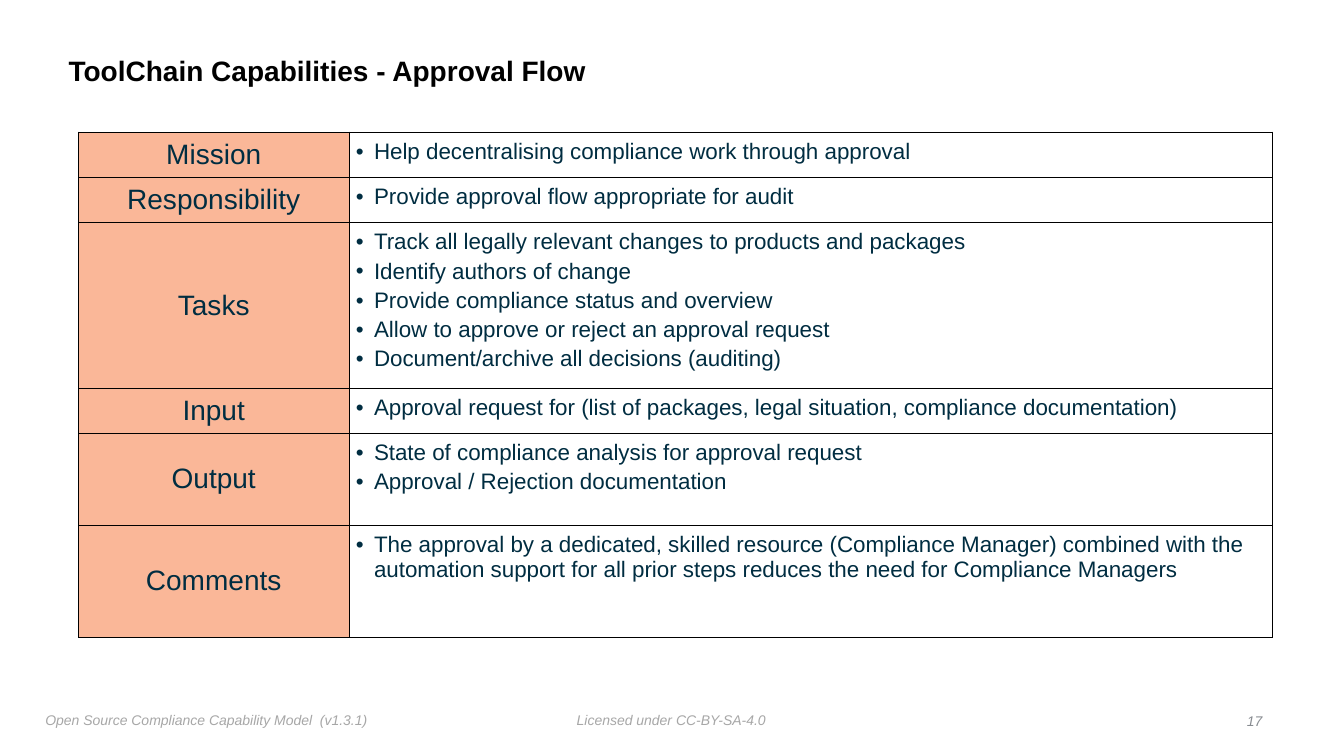
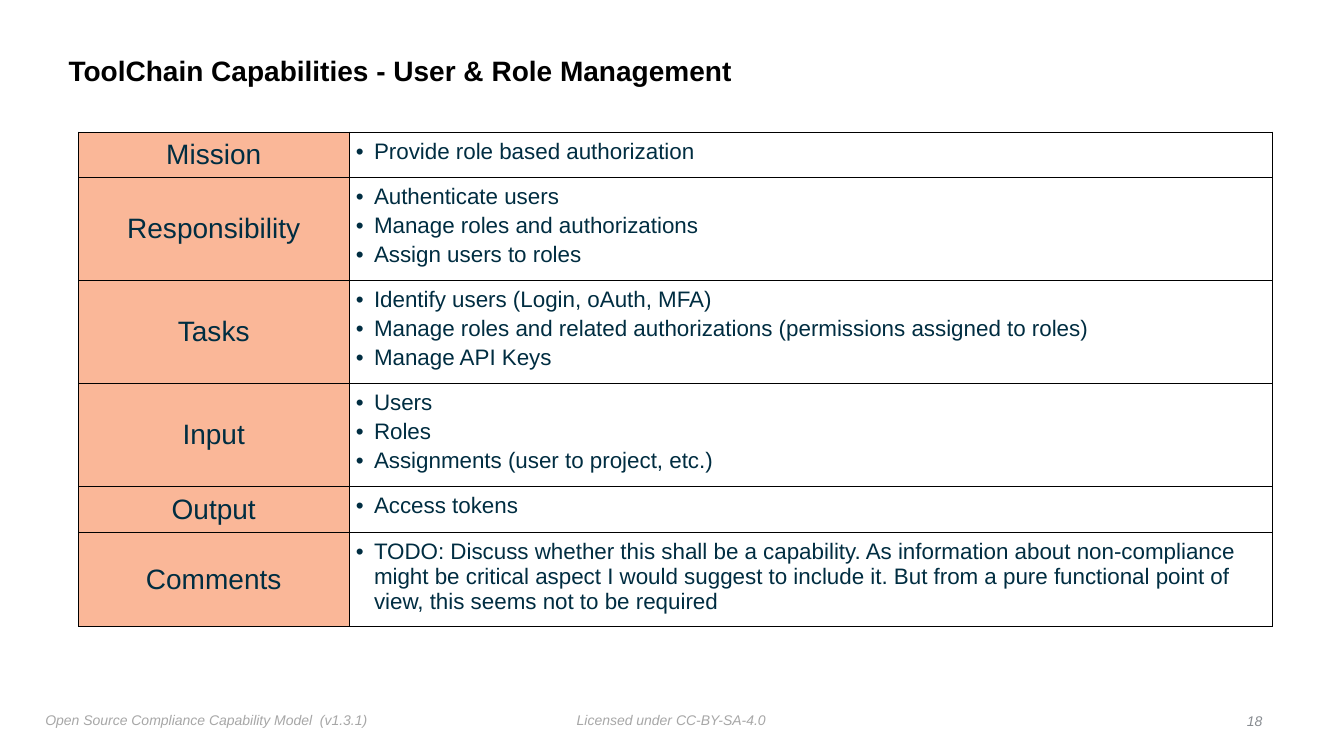
"""Build two capability table slides of the compliance model."""
from lxml import etree
from pptx import Presentation
from pptx.dml.color import RGBColor
from pptx.enum.text import MSO_ANCHOR, PP_ALIGN
from pptx.oxml.ns import qn
from pptx.util import Inches, Pt

LEFT, CENTER, RIGHT = PP_ALIGN.LEFT, PP_ALIGN.CENTER, PP_ALIGN.RIGHT
TOP, MIDDLE = MSO_ANCHOR.TOP, MSO_ANCHOR.MIDDLE

FONT = "Arial"
BLACK, INK, PEACH = "000000", "002D41", "FAB798"
FOOTER_GREY, NUMBER_GREY = "A7A7A7", "888C91"
FOOTERS = [
    (5.67, 2.2, "Licensed under CC-BY-SA-4.0"),
    (0.4, 3.6, "Open Source Compliance Capability Model  (v1.3.1)"),
]
LABELS = ["Mission", "Responsibility", "Tasks", "Input", "Output", "Comments"]
COLUMN_WIDTHS = [2.68, 9.16]

CAPABILITIES = [
    {
        "title": "ToolChain Capabilities - Approval Flow",
        "number": 17,
        "heights": [0.45, 0.45, 1.54, 0.45, 0.91, 1.11],
        "details": [
            ["Help decentralising compliance work through approval"],
            ["Provide approval flow appropriate for audit"],
            [
                "Track all legally relevant changes to products and packages",
                "Identify authors of change",
                "Provide compliance status and overview",
                "Allow to approve or reject an approval request",
                "Document/archive all decisions (auditing)",
            ],
            ["Approval request for (list of packages, legal situation, "
             "compliance documentation)"],
            [
                "State of compliance analysis for approval request",
                "Approval / Rejection documentation",
            ],
            ["The approval by a dedicated, skilled resource (Compliance Manager) "
             "combined with the automation support for all prior steps reduces "
             "the need for Compliance Managers"],
        ],
    },
    {
        "title": "ToolChain Capabilities - User & Role Management",
        "number": 18,
        "heights": [0.45, 0.96, 0.96, 0.96, 0.45, 0.88],
        "details": [
            ["Provide role based authorization"],
            [
                "Authenticate users",
                "Manage roles and authorizations",
                "Assign users to roles",
            ],
            [
                "Identify users (Login, oAuth, MFA)",
                "Manage roles and related authorizations "
                "(permissions assigned to roles)",
                "Manage API Keys",
            ],
            ["Users", "Roles", "Assignments (user to project, etc.)"],
            ["Access tokens"],
            ["TODO: Discuss whether this shall be a capability. As information "
             "about non-compliance might be critical aspect I would suggest to "
             "include it. But from a pure functional point of view, this seems "
             "not to be required"],
        ],
    },
]


def color(value):
    return RGBColor.from_string(value)


class Deck:
    def __init__(self):
        self.presentation = Presentation()
        self.presentation.slide_width = Inches(13.33)
        self.presentation.slide_height = Inches(7.5)
        self.slide = None

    def add_slide(self, title, number):
        layout = self.presentation.slide_layouts[6]
        self.slide = self.presentation.slides.add_slide(layout)
        for left, width, text in FOOTERS:
            self.text(left, 7.01, width, 0.25, text, 10, FOOTER_GREY, italic=True)
        heading = self.text(0.63, 0.39, 10.75, 0.65, title, 20, BLACK,
                            bold=True, anchor=MIDDLE)
        heading.line_spacing = 0.9
        self.text(12.07, 7.03, 0.5, 0.25, str(number), 10, NUMBER_GREY,
                  italic=True, anchor=MIDDLE, align=RIGHT)

    def style(self, paragraph, size, fill, bold=False, italic=False, align=LEFT):
        paragraph.alignment = align
        font = paragraph.font
        font.name, font.size = FONT, Pt(size)
        font.bold, font.italic = bold, italic
        font.color.rgb = color(fill)

    def text(self, left, top, width, height, text, size, fill,
             anchor=TOP, **options):
        shape = self.slide.shapes.add_textbox(
            Inches(left), Inches(top), Inches(width), Inches(height))
        frame = shape.text_frame
        frame.word_wrap = True
        frame.vertical_anchor = anchor
        frame.margin_left = frame.margin_right = Inches(0.05)
        frame.margin_top = frame.margin_bottom = Inches(0.05)
        paragraph = frame.paragraphs[0]
        paragraph.text = text
        self.style(paragraph, size, fill, **options)
        return paragraph

    def table(self, heights, details):
        shape = self.slide.shapes.add_table(
            len(heights), len(COLUMN_WIDTHS), Inches(0.78), Inches(1.31),
            Inches(sum(COLUMN_WIDTHS)), Inches(sum(heights)))
        table = shape.table
        table.first_row = table.horz_banding = False
        for column, width in zip(table.columns, COLUMN_WIDTHS):
            column.width = Inches(width)
        for index, (height, label, items) in enumerate(zip(heights, LABELS, details)):
            table.rows[index].height = Inches(height)
            self.label_cell(table.cell(index, 0), label)
            self.detail_cell(table.cell(index, 1), items)

    def label_cell(self, cell, label):
        self.frame_cell(cell, 0, MIDDLE)
        cell.fill.solid()
        cell.fill.fore_color.rgb = color(PEACH)
        paragraph = cell.text_frame.paragraphs[0]
        paragraph.text = label
        self.style(paragraph, 20, INK, align=CENTER)

    def detail_cell(self, cell, items):
        self.frame_cell(cell, 0.07, TOP)
        cell.fill.background()
        frame = cell.text_frame
        for index, item in enumerate(items):
            paragraph = frame.add_paragraph() if index else frame.paragraphs[0]
            paragraph.text = item
            self.bullet(paragraph)
            paragraph.space_before = Pt(3 if index else 0)
            self.style(paragraph, 16, INK)

    def bullet(self, paragraph):
        properties = paragraph._p.get_or_add_pPr()
        properties.set("marL", str(Inches(0.18)))
        properties.set("indent", str(Inches(-0.18)))
        etree.SubElement(properties, qn("a:buFont"), typeface=FONT)
        etree.SubElement(properties, qn("a:buChar"), char="•")

    def frame_cell(self, cell, margin, anchor):
        cell.margin_left = cell.margin_right = Inches(margin)
        cell.margin_top = cell.margin_bottom = Inches(margin)
        cell.vertical_anchor = anchor
        properties = cell._tc.get_or_add_tcPr()
        for side in "LRTB":
            line = etree.SubElement(properties, qn(f"a:ln{side}"), w=str(Pt(0.5)))
            fill = etree.SubElement(line, qn("a:solidFill"))
            etree.SubElement(fill, qn("a:srgbClr"), val=BLACK)


def main():
    deck = Deck()
    for capability in CAPABILITIES:
        deck.add_slide(capability["title"], capability["number"])
        deck.table(capability["heights"], capability["details"])
    deck.presentation.save("out.pptx")


if __name__ == "__main__":
    main()
